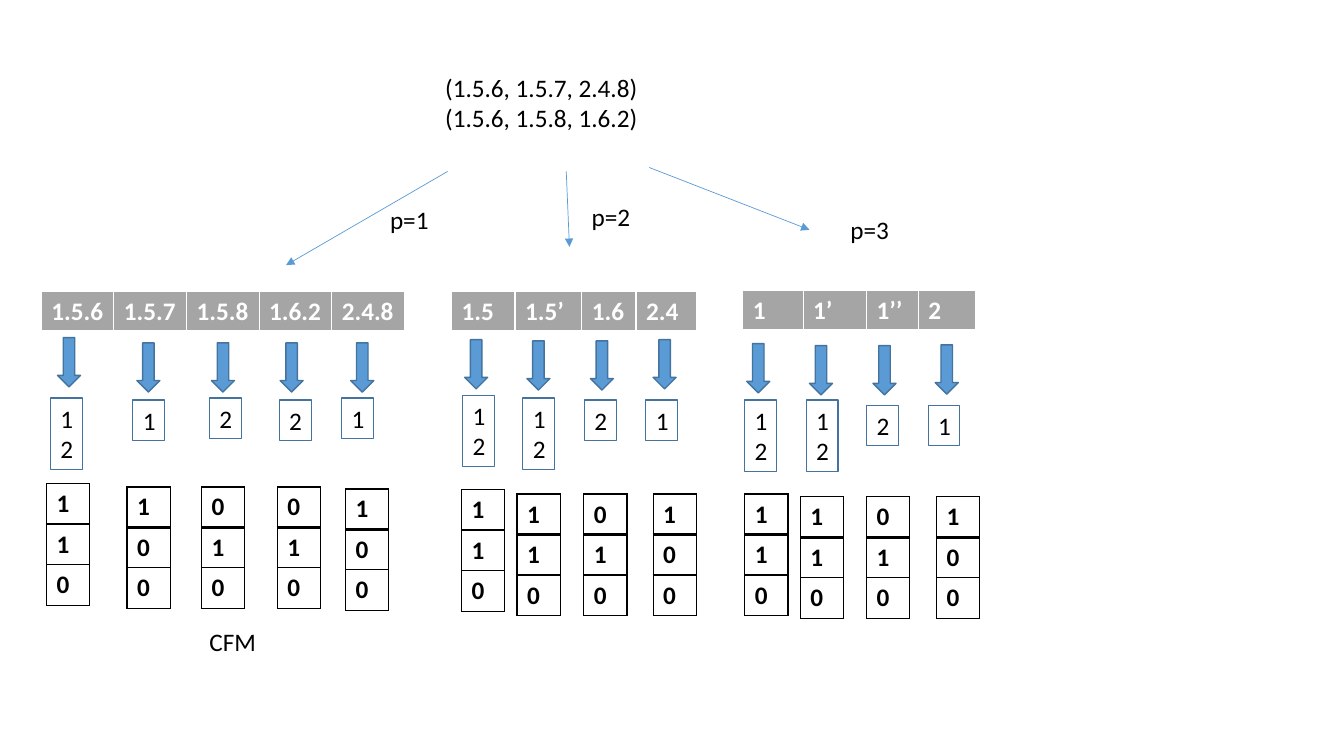
from dataclasses import dataclass

from lxml.etree import SubElement
from pptx import Presentation
from pptx.dml.color import RGBColor
from pptx.enum.shapes import MSO_CONNECTOR, MSO_SHAPE
from pptx.enum.text import MSO_ANCHOR, MSO_AUTO_SIZE, PP_ALIGN
from pptx.oxml.ns import qn
from pptx.shapes.autoshape import Shape
from pptx.slide import Slide
from pptx.table import Table, _Cell
from pptx.text.text import TextFrame
from pptx.util import Cm, Pt

Point = tuple[float, float]


@dataclass(frozen=True)
class Theme:
    font: str = "Calibri"
    size: float = 18
    ink: str = "000000"
    white: str = "FFFFFF"
    gray: str = "A5A5A5"
    blue: str = "5B9BD5"
    edge: str = "43739E"


@dataclass(frozen=True)
class Label:
    spot: Point
    width: float
    lines: list[str]


@dataclass(frozen=True)
class Branch:
    start: Point
    end: Point


@dataclass(frozen=True)
class Header:
    spot: Point
    names: list[str]
    widths: list[float]


@dataclass(frozen=True)
class Slot:
    arrow: Point
    box: Point
    ids: str
    column: Point
    bits: str


THEME = Theme()
ROW = 1.02
LINE = 0.78
BOX = 0.8
BIT = 1.09
ARROW = (0.58, 1.24)

LABELS = [
    Label((10.97, 1.7), 5.64, ["(1.5.6, 1.5.7, 2.4.8)", "(1.5.6, 1.5.8, 1.6.2)"]),
    Label((9.58, 5.03), 1.7, ["p=1"]),
    Label((14.66, 4.95), 1.7, ["p=2"]),
    Label((21.18, 5.28), 1.7, ["p=3"]),
    Label((5.03, 15.65), 1.93, ["CFM"]),
]
BRANCHES = [
    Branch((11.28, 4.32), (7.21, 6.68)),
    Branch((14.27, 4.32), (14.35, 6.22)),
    Branch((16.36, 4.22), (20.4, 5.79)),
]
HEADERS = [
    Header((1.04, 7.34), ["1.5.6", "1.5.7", "1.5.8", "1.6.2", "2.4.8"], [1.83] * 5),
    Header((11.38, 7.34), ["1.5", "1.5’", "1.6", "2.4"], [1.6, 1.68, 1.37, 1.52]),
    Header((18.72, 7.32), ["1", "1’", "1’’", "2"], [1.52, 1.6, 1.3, 1.45]),
]
SLOTS = [
    Slot((1.45, 8.51), (1.27, 10.03), "12", (1.17, 12.19), "110"),
    Slot((3.45, 8.64), (3.35, 10.08), "1", (3.2, 12.27), "100"),
    Slot((5.33, 8.64), (5.28, 10.03), "2", (5.08, 12.27), "010"),
    Slot((7.06, 8.64), (7.04, 10.08), "2", (6.99, 12.27), "010"),
    Slot((8.84, 8.64), (8.61, 10.03), "1", (8.71, 12.32), "100"),
    Slot((11.71, 8.56), (11.66, 9.96), "12", (11.63, 12.34), "110"),
    Slot((13.28, 8.59), (13.18, 10.03), "12", (13.03, 12.45), "110"),
    Slot((14.88, 8.59), (14.73, 10.08), "2", (14.71, 12.45), "010"),
    Slot((16.46, 8.56), (16.28, 10.08), "1", (16.46, 12.45), "100"),
    Slot((18.82, 8.66), (18.77, 10.08), "12", (18.77, 12.45), "110"),
    Slot((20.4, 8.71), (20.32, 10.08), "12", (20.17, 12.52), "110"),
    Slot((22, 8.71), (21.84, 10.21), "2", (21.84, 12.52), "010"),
    Slot((23.57, 8.69), (23.39, 10.21), "1", (23.6, 12.52), "100"),
]


def color(code: str) -> RGBColor:
    return RGBColor.from_string(code)


def write(frame: TextFrame, lines: list[str], tint: str, bold: bool = False) -> None:
    frame.text = "\n".join(lines)
    for para in frame.paragraphs:
        para.alignment = PP_ALIGN.LEFT
        para.font.name = THEME.font
        para.font.size = Pt(THEME.size)
        para.font.bold = bold
        para.font.color.rgb = color(tint)


def fit(frame: TextFrame) -> None:
    frame.word_wrap = True
    frame.auto_size = MSO_AUTO_SIZE.SHAPE_TO_FIT_TEXT
    frame.vertical_anchor = MSO_ANCHOR.TOP


def height(count: int) -> float:
    return ROW + LINE * (count - 1)


def add_label(slide: Slide, label: Label) -> None:
    x, y = label.spot
    tall = height(len(label.lines))
    frame = slide.shapes.add_textbox(Cm(x), Cm(y), Cm(label.width), Cm(tall)).text_frame
    write(frame, label.lines, THEME.ink)
    fit(frame)


def add_branch(slide: Slide, branch: Branch) -> None:
    ends = [Cm(v) for v in branch.start + branch.end]
    link = slide.shapes.add_connector(MSO_CONNECTOR.STRAIGHT, *ends)
    link.line.color.rgb = color(THEME.blue)
    link.line.width = Pt(0.5)
    SubElement(link.line._get_or_add_ln(), qn("a:tailEnd"), type="triangle")
    SubElement(link._element.spPr, qn("a:effectLst"))


def add_form(slide: Slide, kind: MSO_SHAPE, spot: Point, size: Point, line: float) -> Shape:
    form = slide.shapes.add_shape(kind, *[Cm(v) for v in spot + size])
    form.shadow.inherit = False
    form.line.color.rgb = color(THEME.edge)
    form.line.width = Pt(line)
    return form


def add_grid(slide: Slide, spot: Point, widths: list[float], rows: int) -> Table:
    x, y = spot
    frame = slide.shapes.add_table(
        rows, len(widths), Cm(x), Cm(y), Cm(sum(widths)), Cm(ROW * rows))
    grid = frame.table
    grid.first_row = False
    grid.horz_banding = False
    for col, width in zip(grid.columns, widths):
        col.width = Cm(width)
    return grid


def border(cell: _Cell, tint: str, top: float = 1, bottom: float = 1) -> None:
    props = cell._tc.get_or_add_tcPr()
    for side, width in (("L", 1), ("R", 1), ("T", top), ("B", bottom)):
        line = SubElement(props, qn(f"a:ln{side}"), w=str(Pt(width)))
        fill = SubElement(line, qn("a:solidFill"))
        SubElement(fill, qn("a:srgbClr"), val=tint)


def add_header(slide: Slide, header: Header) -> None:
    grid = add_grid(slide, header.spot, header.widths, 1)
    for cell, name in zip(grid.iter_cells(), header.names):
        write(cell.text_frame, [name], THEME.white, True)
        border(cell, THEME.white, bottom=3)
        cell.fill.solid()
        cell.fill.fore_color.rgb = color(THEME.gray)


def add_slot(slide: Slide, slot: Slot) -> None:
    arrow = add_form(slide, MSO_SHAPE.DOWN_ARROW, slot.arrow, ARROW, 1)
    arrow.fill.solid()
    arrow.fill.fore_color.rgb = color(THEME.blue)

    size = (BOX, height(len(slot.ids)))
    box = add_form(slide, MSO_SHAPE.RECTANGLE, slot.box, size, 0.75)
    box.fill.background()
    write(box.text_frame, list(slot.ids), THEME.ink)
    fit(box.text_frame)

    grid = add_grid(slide, slot.column, [BIT], len(slot.bits))
    for row, (cell, bit) in enumerate(zip(grid.iter_cells(), slot.bits)):
        write(cell.text_frame, [bit], THEME.ink, True)
        border(cell, THEME.ink, 2 if row == 1 else 1, 2 if row == 0 else 1)
        cell.fill.background()


def main() -> None:
    deck = Presentation()
    deck.slide_width, deck.slide_height = Cm(33.87), Cm(19.05)
    slide = deck.slides.add_slide(deck.slide_layouts[6])
    for draw, items in ((add_label, LABELS), (add_branch, BRANCHES),
                        (add_header, HEADERS), (add_slot, SLOTS)):
        for item in items:
            draw(slide, item)
    deck.save("out.pptx")


if __name__ == "__main__":
    main()
